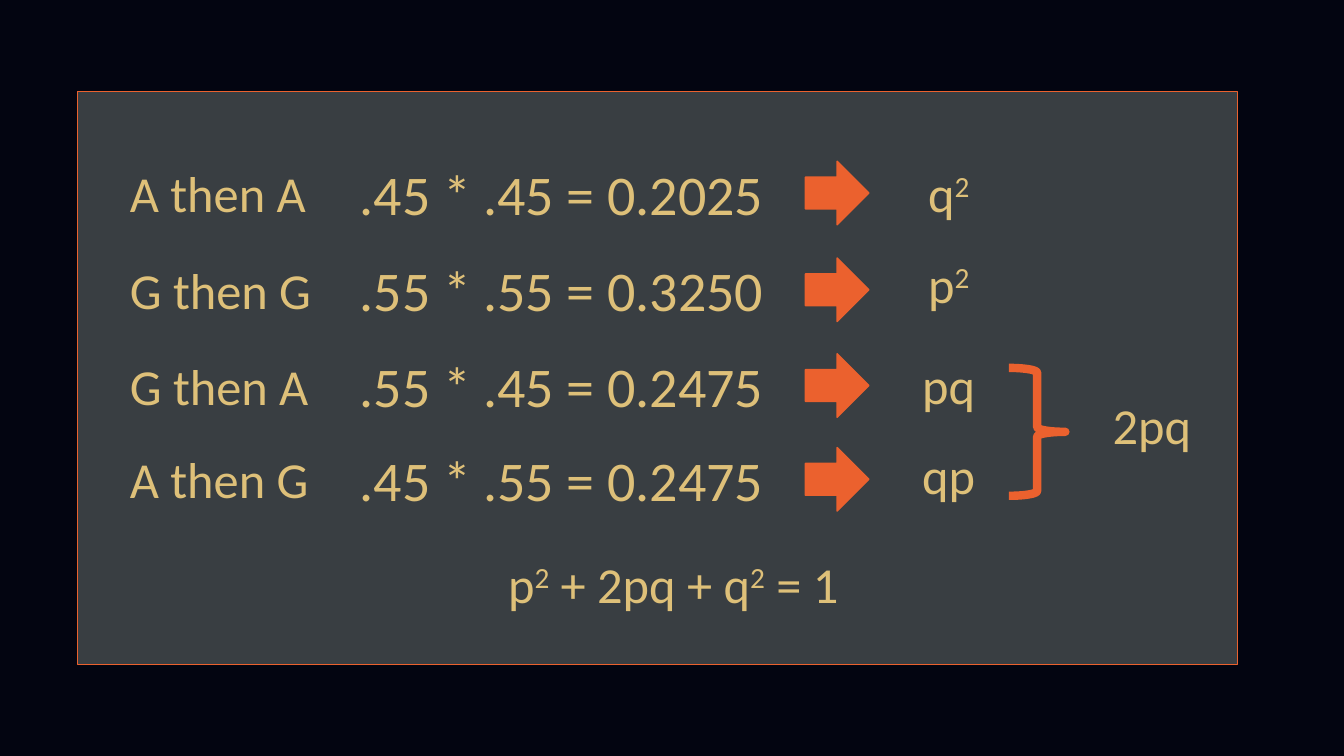
from pptx import Presentation
from pptx.dml.color import RGBColor
from pptx.enum.shapes import MSO_SHAPE as Shape
from pptx.enum.text import MSO_AUTO_SIZE as AutoSize, PP_ALIGN as Align
from pptx.util import Pt

NIGHT, SLATE, ORANGE, SAND = "030511", "393E42", "EB612E", "DEC079"

OUTCOMES = [
    (112.3, "A then A", ".45 * .45 = 0.2025"),
    (181.4, "G then G", ".55 * .55 = 0.3250"),
    (249.8, "G then A", ".55 * .45 = 0.2475"),
    (316.8, "A then G", ".45 * .55 = 0.2475"),
]
SYMBOLS = [
    (655.9, 112.3, 51.8, "q^2"),
    (655.9, 177.1, 67, "p^2"),
    (651.6, 249.1, 67, "pq"),
    (651.6, 313.9, 67, "qp"),
    (787.7, 277.9, 87.1, "2pq"),
]


def paint(format_part, colour):
    """Give a fill a solid colour."""
    format_part.solid()
    format_part.fore_color.rgb = RGBColor.from_string(colour)


def add_figure(slide, preset, left, top, width, height, fill, line_width=1):
    """Add a preset shape with an orange outline."""
    figure = slide.shapes.add_shape(preset, Pt(left), Pt(top), Pt(width), Pt(height))
    figure.shadow.inherit = False
    if fill:
        paint(figure.fill, fill)
    else:
        figure.fill.background()
    paint(figure.line.fill, ORANGE)
    figure.line.width = Pt(line_width)


def add_formula(slide, left, top, width, formula, size=36, align=Align.LEFT):
    """Add one line of text in which ^ raises the next character."""
    height = 55.4 if size == 40 else 51.1
    box = slide.shapes.add_textbox(Pt(left), Pt(top), Pt(width), Pt(height))
    frame = box.text_frame
    frame.word_wrap = True
    frame.auto_size = AutoSize.SHAPE_TO_FIT_TEXT
    line = frame.paragraphs[0]
    line.alignment = align
    base, *raised_parts = formula.split("^")
    pieces = [(base, False)]
    for part in raised_parts:
        pieces += [(part[0], True), (part[1:], False)]
    for wording, raised in pieces:
        if not wording:
            continue
        run = line.add_run()
        run.text = wording
        run.font.name = "Calibri"
        run.font.size = Pt(size)
        run.font.color.rgb = RGBColor.from_string(SAND)
        if raised:
            run._r.get_or_add_rPr().set("baseline", "30000")


def main():
    """Build the slide of allele probabilities."""
    deck = Presentation()
    deck.slide_width, deck.slide_height = Pt(960), Pt(540)
    slide = deck.slides.add_slide(deck.slide_layouts[6])
    paint(slide.background.fill, NIGHT)

    add_figure(slide, Shape.RECTANGLE, 55.4, 65.5, 828.7, 409, SLATE)
    for top, draw, product in OUTCOMES:
        add_formula(slide, 249.8, top - 2.2, 309.6, product, 40)
        add_formula(slide, 85.7, top, 164.2, draw)
        add_figure(slide, Shape.RIGHT_ARROW, 575.3, top + 2.9, 45.4, 45.4, ORANGE)
    for left, top, width, symbol in SYMBOLS:
        add_formula(slide, left, top, width, symbol)
    add_figure(slide, Shape.RIGHT_BRACE, 720.7, 262.8, 40.3, 91.4, None, 6)
    add_formula(slide, 251.3, 391.7, 467.3, "p^2 + 2pq + q^2 = 1 ", align=Align.CENTER)

    deck.save("out.pptx")


if __name__ == "__main__":
    main()
